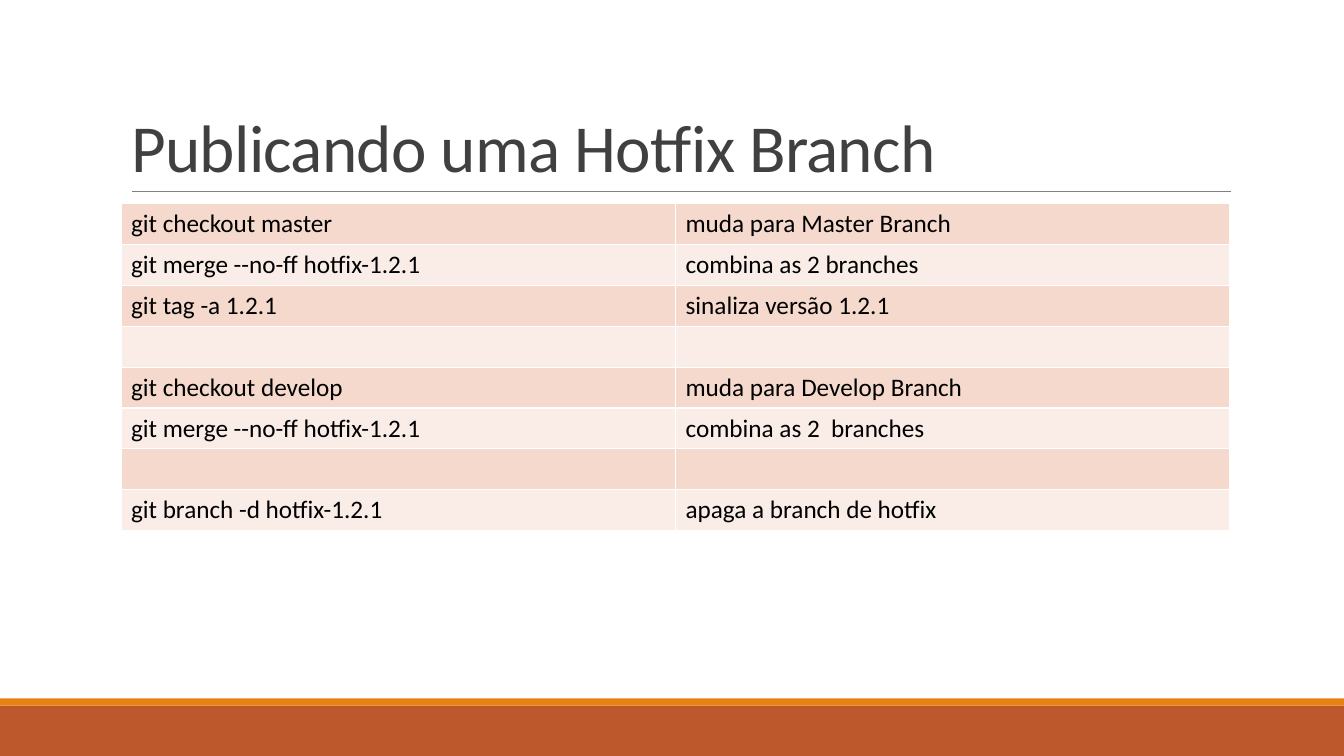
from dataclasses import dataclass

from lxml import etree
from pptx import Presentation
from pptx import util as u
from pptx.dml.color import RGBColor
from pptx.enum import shapes, text
from pptx.oxml.ns import qn


@dataclass(frozen=True)
class Theme:
    font: str = "Calibri"
    title_size: float = 48
    title_spacing: float = -0.5
    body_size: float = 18
    title_color: str = "404040"
    body_color: str = "000000"
    rule: str = "808080"
    footer: str = "BD582C"
    accent: str = "E48312"
    border: str = "FFFFFF"
    bands: tuple = ("F5D9CC", "FAEDE7")


COMMANDS = [
    ("git checkout master", "muda para Master Branch"),
    ("git merge --no-ff hotfix-1.2.1", "combina as 2 branches"),
    ("git tag -a 1.2.1", "sinaliza versão 1.2.1"),
    ("", ""),
    ("git checkout develop", "muda para Develop Branch"),
    ("git merge --no-ff hotfix-1.2.1", "combina as 2  branches"),
    ("", ""),
    ("git branch -d hotfix-1.2.1", "apaga a branch de hotfix"),
]


class Page:
    def __init__(self, deck, theme):
        self.theme = theme
        self.slide = deck.slides.add_slide(deck.slide_layouts[5])

    def style(self, font, size, color):
        font.name = self.theme.font
        font.size = u.Pt(size)
        font.color.rgb = RGBColor.from_string(color)

    def title(self, words, left, top, width, height):
        box = self.slide.shapes.title
        box.left, box.top = u.Inches(left), u.Inches(top)
        box.width, box.height = u.Inches(width), u.Inches(height)
        frame = box.text_frame
        frame.word_wrap = True
        frame.auto_size = text.MSO_AUTO_SIZE.NONE
        frame.vertical_anchor = text.MSO_ANCHOR.BOTTOM
        para = frame.paragraphs[0]
        para.alignment = text.PP_ALIGN.LEFT
        para.line_spacing = 0.85
        span = para.add_run()
        span.text = words
        self.style(span.font, self.theme.title_size, self.theme.title_color)
        spacing = round(self.theme.title_spacing * 100)
        span._r.get_or_add_rPr().set("spc", str(spacing))

    def band(self, top, height, color):
        """Draw a filled strip across the whole slide."""
        strip = self.slide.shapes.add_shape(
            shapes.MSO_SHAPE.RECTANGLE, 0, u.Inches(top), u.Inches(13.33), u.Inches(height))
        strip.shadow.inherit = False
        strip.fill.solid()
        strip.fill.fore_color.rgb = RGBColor.from_string(color)
        strip.line.fill.background()

    def rule(self, left, right, top):
        line = self.slide.shapes.add_connector(
            shapes.MSO_CONNECTOR.STRAIGHT,
            u.Inches(left), u.Inches(top), u.Inches(right), u.Inches(top))
        line.line.color.rgb = RGBColor.from_string(self.theme.rule)
        line.line.width = u.Pt(0.5)
        etree.SubElement(line._element.spPr, qn("a:effectLst"))

    def border(self, cell):
        properties = cell._tc.get_or_add_tcPr()
        for side in ("a:lnL", "a:lnR", "a:lnT", "a:lnB"):
            edge = etree.SubElement(properties, qn(side), w=str(u.Pt(1)))
            fill = etree.SubElement(edge, qn("a:solidFill"))
            etree.SubElement(fill, qn("a:srgbClr"), val=self.theme.border)

    def table(self, rows, left, top, width, height):
        grid = self.slide.shapes.add_table(
            len(rows), len(rows[0]), u.Inches(left), u.Inches(top),
            u.Inches(width), u.Inches(height)).table
        grid.first_row = grid.horz_banding = False
        for index, row in enumerate(rows):
            color = self.theme.bands[index % 2]
            for column, words in enumerate(row):
                cell = grid.cell(index, column)
                self.border(cell)
                cell.fill.solid()
                cell.fill.fore_color.rgb = RGBColor.from_string(color)
                para = cell.text_frame.paragraphs[0]
                if words:
                    span = para.add_run()
                    span.text = words
                    self.style(span.font, self.theme.body_size, self.theme.body_color)


def main():
    deck = Presentation()
    deck.slide_width, deck.slide_height = u.Inches(13.33), u.Inches(7.5)
    theme = Theme()
    page = Page(deck, theme)
    page.band(7, 0.5, theme.footer)
    page.band(6.93, 0.07, theme.accent)
    page.rule(1.31, 12.21, 1.9)
    page.title("Publicando uma Hotfix Branch", 1.2, 0.31, 11, 1.59)
    page.table(COMMANDS, 1.2, 2.02, 11, 3.24)
    deck.save("out.pptx")


if __name__ == "__main__":
    main()
